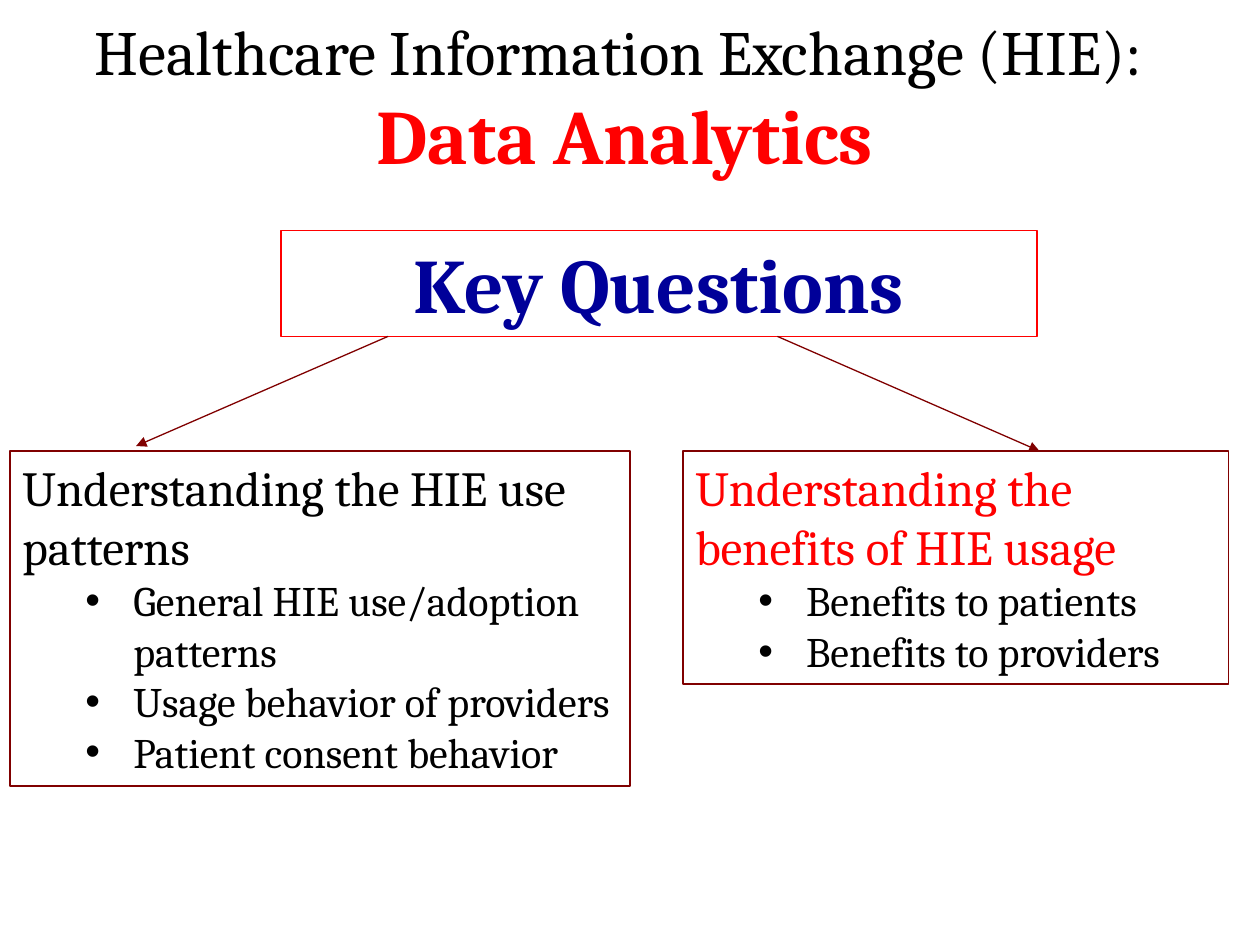
from lxml import etree
from pptx import Presentation
from pptx.dml.color import RGBColor
from pptx.enum.shapes import MSO_CONNECTOR, MSO_SHAPE
from pptx.enum.text import MSO_ANCHOR, MSO_AUTO_SIZE, PP_ALIGN
from pptx.oxml.ns import qn
from pptx.util import Inches, Pt

RECTANGLE, STRAIGHT = MSO_SHAPE.RECTANGLE, MSO_CONNECTOR.STRAIGHT
TOP, MIDDLE = MSO_ANCHOR.TOP, MSO_ANCHOR.MIDDLE
LEFT, CENTER = PP_ALIGN.LEFT, PP_ALIGN.CENTER

THEME = {
    "font": "Cambria",
    "black": RGBColor(0x00, 0x00, 0x00),
    "red": RGBColor(0xFF, 0x00, 0x00),
    "navy": RGBColor(0x00, 0x00, 0x99),
    "maroon": RGBColor(0x80, 0x00, 0x00),
    "headline": Pt(44),
    "title": Pt(36),
    "topic": Pt(28),
    "point": Pt(24),
    "line": Pt(0.75),
}


def add_run(paragraph, text, size, color, bold=False):
    run = paragraph.add_run()
    run.text = text
    run.font.color.rgb = THEME[color]
    formats = {"name": THEME["font"], "size": THEME[size], "bold": bold}
    for attribute, value in formats.items():
        setattr(run.font, attribute, value)


def add_box(left, top, width, height, outline):
    """Add an unfilled outlined rectangle and return its text frame."""
    box = slide.shapes.add_shape(
        RECTANGLE, Inches(left), Inches(top), Inches(width), Inches(height))
    box.shadow.inherit = False
    box.fill.background()
    box.line.color.rgb = THEME[outline]
    box.line.width = THEME["line"]
    formats = {"word_wrap": True, "vertical_anchor": TOP,
               "auto_size": MSO_AUTO_SIZE.SHAPE_TO_FIT_TEXT}
    for attribute, value in formats.items():
        setattr(box.text_frame, attribute, value)
    return box.text_frame


prs = Presentation()
prs.slide_width, prs.slide_height = Inches(10), Inches(7.5)
slide = prs.slides.add_slide(prs.slide_layouts[5])

# Title
title = slide.shapes.title
title_place = {"left": 0.42, "top": 0.14, "width": 9.08, "height": 1.25}
for attribute, value in title_place.items():
    setattr(title, attribute, Inches(value))
title.text_frame.auto_size = MSO_AUTO_SIZE.NONE
title.text_frame.vertical_anchor = MIDDLE
heading = title.text_frame.paragraphs[0]
heading.alignment = CENTER
add_run(heading, "Healthcare Information Exchange (HIE): ", "title", "black")
heading.add_line_break()
add_run(heading, "Data Analytics", "headline", "red", bold=True)

# Key questions
key_questions = add_box(2.23, 1.83, 6, 0.84, "red").paragraphs[0]
key_questions.alignment = CENTER
add_run(key_questions, "Key Questions", "headline", "navy", bold=True)

# Arrows to the two topics
for start_x, end_x, end_y in [(3.08, 1.08, 3.54), (6.17, 8.25, 3.58)]:
    arrow = slide.shapes.add_connector(
        STRAIGHT, Inches(start_x), Inches(2.67), Inches(end_x), Inches(end_y))
    arrow.line.color.rgb = THEME["maroon"]
    arrow.line.width = THEME["line"]
    etree.SubElement(arrow.line._get_or_add_ln(), qn("a:tailEnd"), type="triangle")
    etree.SubElement(arrow._element.spPr, qn("a:effectLst"))

# Topics with their points
topics = [
    (0.08, 4.92, 2.66, "Understanding the HIE use patterns", "black",
     ["General HIE use/adoption patterns", "Usage behavior of providers",
      "Patient consent behavior"]),
    (5.42, 4.33, 1.85, "Understanding the benefits of HIE usage", "red",
     ["Benefits to patients", "Benefits to providers"]),
]
for left, width, height, topic, color, points in topics:
    frame = add_box(left, 3.58, width, height, "maroon")
    frame.paragraphs[0].alignment = LEFT
    add_run(frame.paragraphs[0], topic, "topic", color)
    for point in points:
        bullet = frame.add_paragraph()
        bullet.level = 1
        bullet.alignment = LEFT
        properties = bullet._p.get_or_add_pPr()
        properties.set("marL", str(Inches(0.88)))
        properties.set("indent", str(Inches(-0.38)))
        etree.SubElement(properties, qn("a:buFont"), typeface="Arial")
        etree.SubElement(properties, qn("a:buChar"), char="•")
        add_run(bullet, point, "point", "black")

prs.save("out.pptx")
